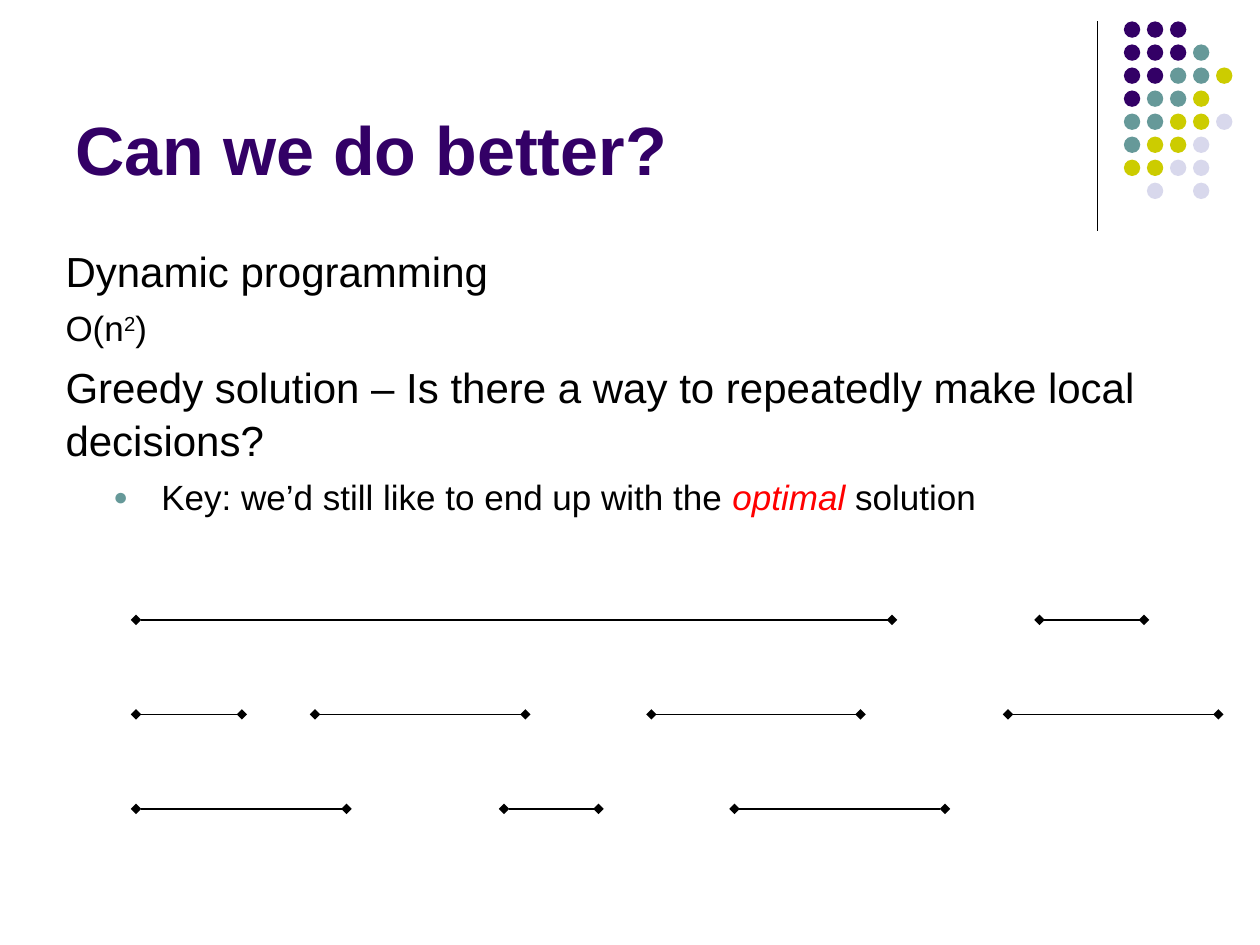
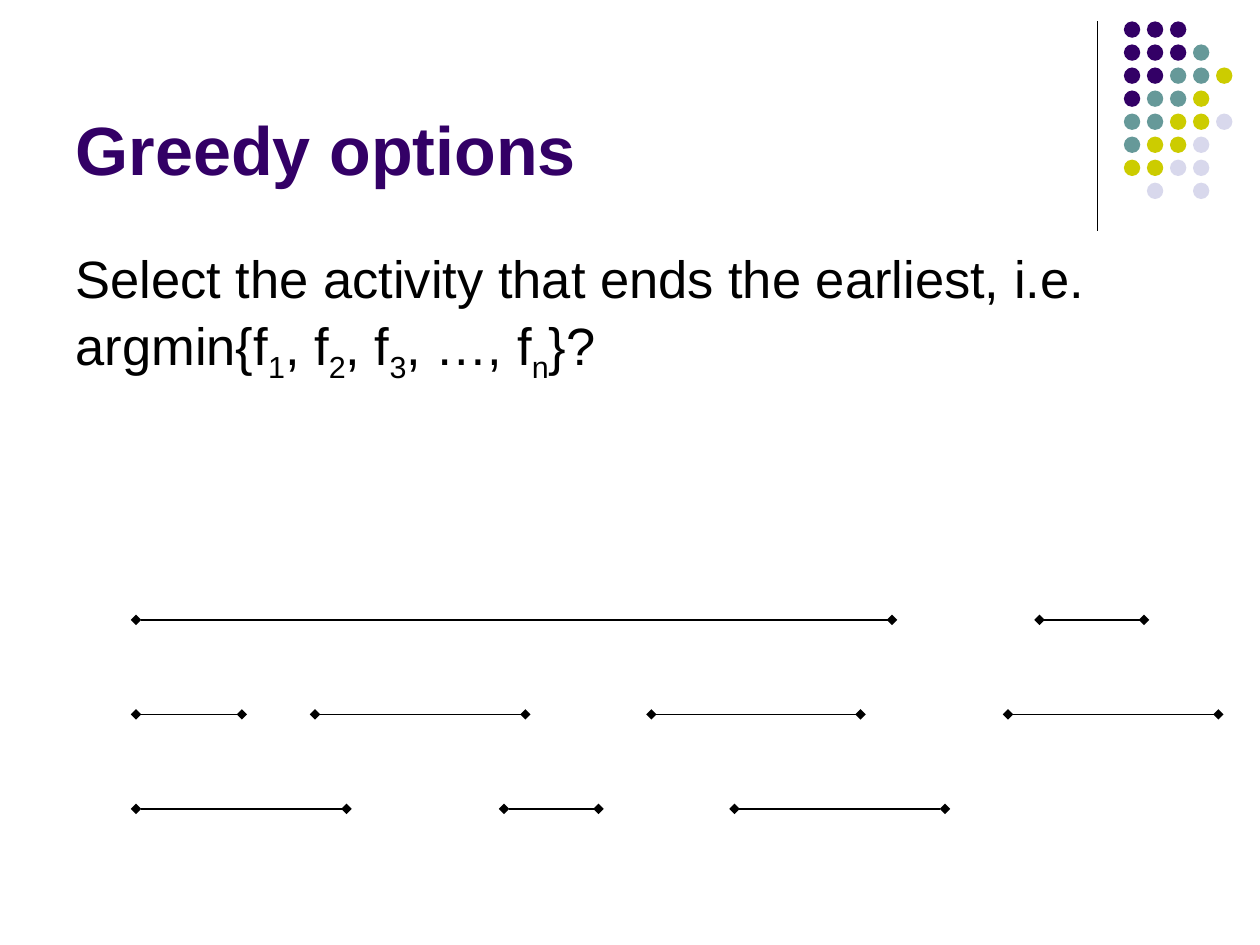
from lxml import etree
from pptx import Presentation
from pptx.dml.color import RGBColor
from pptx.enum.shapes import MSO_CONNECTOR, MSO_SHAPE
from pptx.enum.text import MSO_ANCHOR, MSO_AUTO_SIZE, PP_ALIGN
from pptx.oxml.ns import qn
from pptx.util import Inches, Pt

STRAIGHT = MSO_CONNECTOR.STRAIGHT
OVAL = MSO_SHAPE.OVAL
BOTTOM, TOP = MSO_ANCHOR.BOTTOM, MSO_ANCHOR.TOP
NO_FIT = MSO_AUTO_SIZE.NONE
LEFT = PP_ALIGN.LEFT

FONT = "Arial"
COLORS = {"purple": "330066", "teal": "669999", "lime": "CCCC00",
          "lilac": "D8D8EC", "black": "000000", "red": "FF0000"}
DOT_COLORS = {"P": "purple", "T": "teal", "L": "lime", "V": "lilac"}
DOT_ROWS = ["PPP", "PPPT", "PPTTL", "PTTL", "TTLLV", "TLLV", "LLVV", " V V"]
DOT_LEFT, DOT_TOP, DOT_SIZE, DOT_PITCH = 8.92, 0.17, 0.13, 1.28 / 7

ACTIVITY_TOP, ACTIVITY_GAP = 4.92, 0.75
ACTIVITY_ROWS = [
    [(1.08, 7.08), (8.25, 9.08)],
    [(1.08, 1.92), (2.5, 4.17), (5.17, 6.83), (8, 9.67)],
    [(1.08, 2.75), (4, 4.75), (5.83, 7.5)],
]


def rgb(name):
    return RGBColor.from_string(COLORS[name])


def add_run(p, text, size=24, color="black", bold=False, italic=False, baseline=0):
    r = p.add_run()
    r.text = text
    f = r.font
    f.name, f.size, f.bold, f.italic = FONT, Pt(size), bold, italic
    f.color.rgb = rgb(color)
    if baseline:
        r._r.get_or_add_rPr().set("baseline", str(baseline * 1000))


class Deck:
    def __init__(self):
        self.prs = Presentation()
        self.prs.slide_width, self.prs.slide_height = Inches(10), Inches(7.5)
        self.s = None

    def slide(self, title):
        self.s = self.prs.slides.add_slide(self.prs.slide_layouts[1])
        self.line(8.71, 0.17, 8.71, 1.83)
        self.dots()
        tf = self.place(self.s.shapes.title, 0.5, 0.13, 8.25, 1.42, BOTTOM)
        p = tf.paragraphs[0]
        p.alignment = LEFT
        add_run(p, title, size=39, color="purple", bold=True)

    def place(self, sp, left, top, width, height, anchor):
        sp.left, sp.top = Inches(left), Inches(top)
        sp.width, sp.height = Inches(width), Inches(height)
        tf = sp.text_frame
        tf.word_wrap, tf.auto_size, tf.vertical_anchor = True, NO_FIT, anchor
        return tf

    def body(self, left, top, width, height, paragraphs):
        tf = self.place(self.s.placeholders[1], left, top, width, height, TOP)
        for i, (size, bullet, runs) in enumerate(paragraphs):
            p = tf.paragraphs[0] if i == 0 else tf.add_paragraph()
            self.bullet(p, bullet)
            p.line_spacing = 1.05
            p.space_before = Pt(size / 4 if i else 0)
            for text, fmt in runs:
                add_run(p, text, size=size, **fmt)

    def bullet(self, p, shown):
        pPr = p._p.get_or_add_pPr()
        if not shown:
            pPr.set("marL", "0")
            pPr.set("indent", "0")
            etree.SubElement(pPr, qn("a:buNone"))
            return
        p.level = 1
        pPr.set("marL", str(Inches(0.76)))
        pPr.set("indent", str(Inches(-0.38)))
        clr = etree.SubElement(pPr, qn("a:buClr"))
        etree.SubElement(clr, qn("a:srgbClr"), val=COLORS["teal"])
        etree.SubElement(pPr, qn("a:buSzPct"), val="70000")
        etree.SubElement(pPr, qn("a:buFont"), typeface=FONT)
        etree.SubElement(pPr, qn("a:buChar"), char="●")

    def line(self, x1, y1, x2, y2, ends=None):
        c = self.s.shapes.add_connector(
            STRAIGHT, Inches(x1), Inches(y1), Inches(x2), Inches(y2))
        c.line.color.rgb = rgb("black")
        c.line.width = Pt(0.75)
        if ends:
            ln = c.line._get_or_add_ln()
            for tag in ("a:headEnd", "a:tailEnd"):
                etree.SubElement(ln, qn(tag), type=ends)
        etree.SubElement(c._element.spPr, qn("a:effectLst"))

    def dots(self):
        group = self.s.shapes.add_group_shape()
        for row, codes in enumerate(DOT_ROWS):
            for col, code in enumerate(codes):
                if code == " ":
                    continue
                dot = group.shapes.add_shape(
                    OVAL, Inches(DOT_LEFT + col * DOT_PITCH),
                    Inches(DOT_TOP + row * DOT_PITCH), Inches(DOT_SIZE), Inches(DOT_SIZE))
                dot.shadow.inherit = False
                dot.fill.solid()
                dot.fill.fore_color.rgb = rgb(DOT_COLORS[code])
                dot.line.fill.background()

    def activities(self):
        for row, spans in enumerate(ACTIVITY_ROWS):
            y = ACTIVITY_TOP + row * ACTIVITY_GAP
            for start, finish in spans:
                self.line(start, y, finish, y, ends="diamond")


def main():
    deck = Deck()

    deck.slide("Can we do better?")
    deck.body(0.42, 1.88, 9.17, 2.62, [
        (24, False, [("Dynamic programming", {})]),
        (20, False, [("O(n", {}), ("2", {"baseline": 30}), (")", {})]),
        (24, False, [("Greedy solution – Is there a way to repeatedly make local decisions?", {})]),
        (20, True, [("Key: we’d still like to end up with the ", {}),
                    ("optimal", {"color": "red", "italic": True}),
                    (" solution", {})]),
    ])
    deck.activities()

    deck.slide("Greedy options")
    sub = {"baseline": -25}
    deck.body(0.5, 1.88, 9, 1.87, [
        (30, False, [("Select the activity that ends the earliest, i.e. argmin{f", {}),
                     ("1", sub), (", f", {}), ("2", sub), (", f", {}), ("3", sub),
                     (", …, f", {}), ("n", sub), ("}?", {})]),
    ])
    deck.activities()

    deck.prs.save("out.pptx")


if __name__ == "__main__":
    main()
